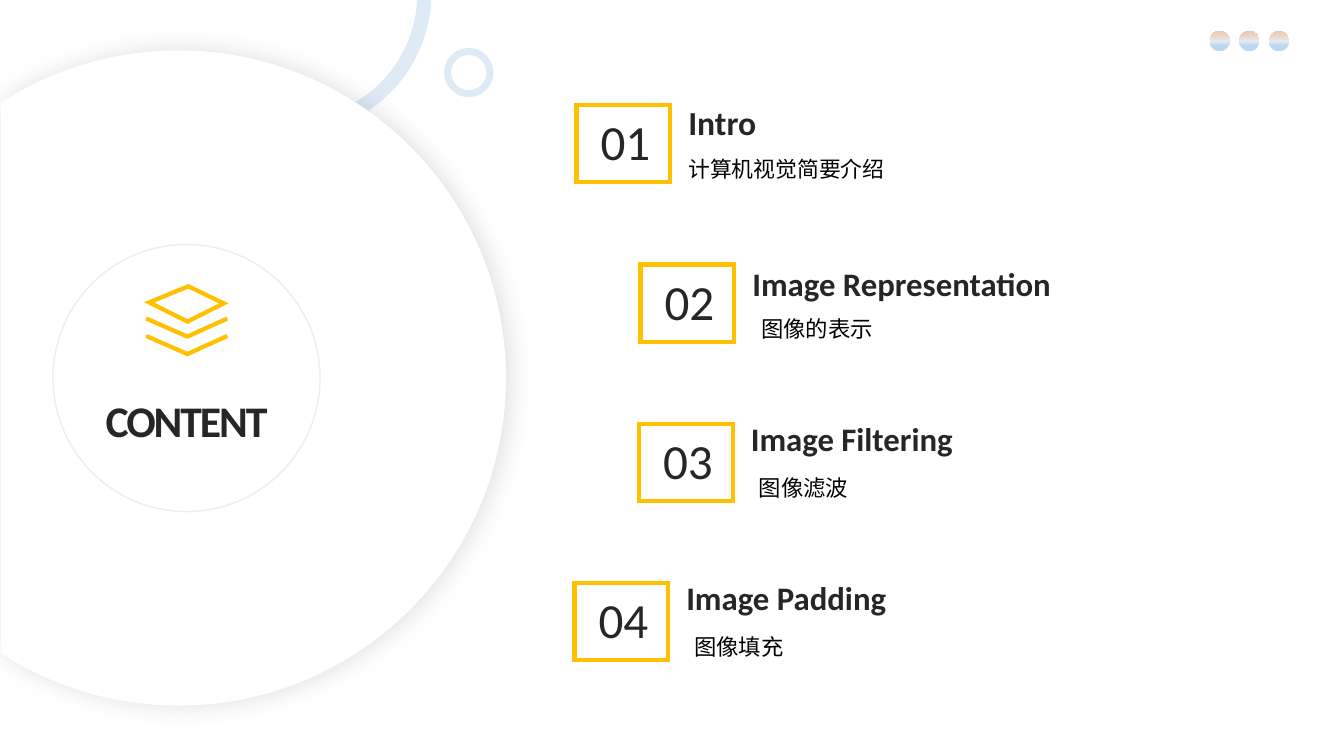
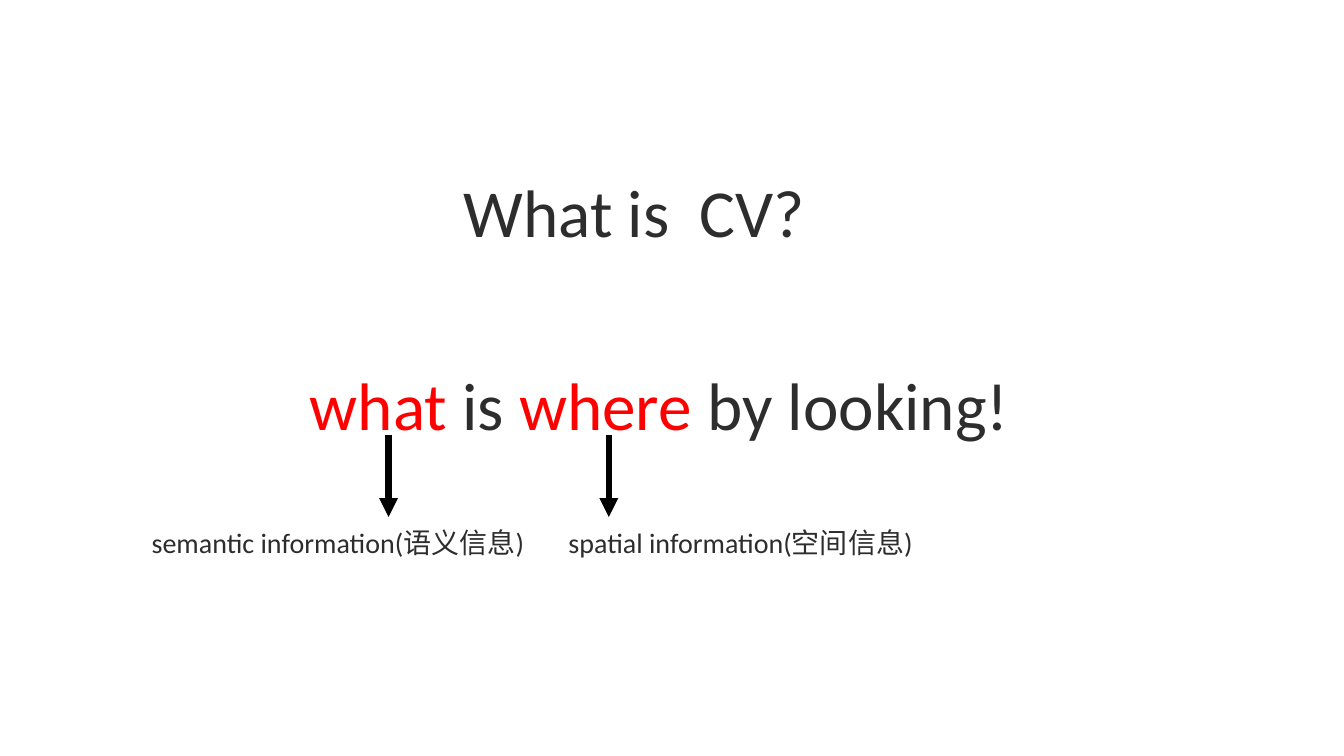
"""Builds a contents slide and a slide that defines computer vision."""
import math
from lxml import etree
from pptx import Presentation
from pptx import util as u
from pptx.dml.color import RGBColor
from pptx.enum import shapes, text
from pptx.oxml.ns import qn

COLS, ROWS = 80, 45
CELL = u.Inches(7.5) / ROWS
WHITE = RGBColor(0xFF, 0xFF, 0xFF)
BLACK = RGBColor(0, 0, 0)
INK = RGBColor(0x26, 0x26, 0x26)
GREY = RGBColor(0x2E, 0x2D, 0x2D)
PALE = RGBColor(0xED, 0xED, 0xED)
GOLD = RGBColor(0xFF, 0xC0, 0)
RED = RGBColor(0xFF, 0, 0)
SKY = RGBColor(0xDE, 0xEB, 0xF7)
BLUE = RGBColor(0xBD, 0xD7, 0xEE)
PEACH = RGBColor(0xF8, 0xCB, 0xAD)
KIND = shapes.MSO_SHAPE
LEFT, MID = text.PP_ALIGN.LEFT, text.PP_ALIGN.CENTER
TOP, CORE, BASE = (text.MSO_ANCHOR.TOP, text.MSO_ANCHOR.MIDDLE,
                   text.MSO_ANCHOR.BOTTOM)


def paint(item, line=None, width=1, fill=None):
    """Set outline and fill, and return the emptied effect list."""
    if line is None:
        item.line.fill.background()
    else:
        item.line.color.rgb = line
        item.line.width = u.Pt(width)
        etree.SubElement(item.line._get_or_add_ln(), qn("a:miter"), lim="800000")
    if hasattr(item, "fill"):
        if fill is None:
            item.fill.background()
        else:
            item.fill.solid()
            item.fill.fore_color.rgb = fill
    return etree.SubElement(item._element.spPr, qn("a:effectLst"))


def write(page, box, runs, size, align=LEFT, anchor=TOP, space=1.0,
          bold=False, face="Calibri", wrap=True):
    """Add a text box from (words, colour) runs and return its paragraph."""
    frame = page.shapes.add_textbox(*[int(n * CELL) for n in box]).text_frame
    frame.word_wrap = wrap
    frame.vertical_anchor = anchor
    para = frame.paragraphs[0]
    para.alignment = align
    para.line_spacing = space
    for words, color in runs:
        run = para.add_run()
        run.text = words
        run.font.name = face
        run.font.size = u.Pt(size)
        run.font.bold = bold
        run.font.color.rgb = color
    return para


deck = Presentation()
deck.slide_width, deck.slide_height = int(COLS * CELL), int(ROWS * CELL)
menu, topic = [deck.slides.add_slide(deck.slide_layouts[6]) for _ in range(2)]

ring = menu.shapes.add_shape(
    KIND.OVAL, *[int(n * CELL) for n in (26.64, 3.06, 2.52, 2.52)])
paint(ring, SKY, 5)
arc = menu.shapes.add_shape(
    KIND.ARC, *[int(n * CELL) for n in (9.36, -8.34, 15.9, 15.9)])
arc.rotation = 90
arc.adjustments[0], arc.adjustments[1] = 163.22, 201.1
paint(arc, SKY, 10)

for i in range(3):
    dot = menu.shapes.add_shape(
        KIND.OVAL, *[int(n * CELL) for n in (72 + 1.77 * i, 1.86, 1.2, 1.2)])
    paint(dot)
    grad = etree.Element(qn("a:gradFill"), rotWithShape="1")
    stops = etree.SubElement(grad, qn("a:gsLst"))
    for share, tint in ((28, BLUE), (50, SKY), (88, PEACH), (100, BLUE)):
        stop = etree.SubElement(stops, qn("a:gs"), pos=str(share * 1000))
        etree.SubElement(stop, qn("a:srgbClr"), val=str(tint))
    etree.SubElement(grad, qn("a:lin"), ang=str(270 * 60000), scaled="0")
    props = dot._element.spPr
    props.replace(props.find(qn("a:noFill")), grad)

midx, midy, rad, edge = 10.62, 22.5, 19.5, 0.06
reach = math.acos((edge - midx) / rad)
turns = [-reach, -math.pi / 2, 0, math.pi / 2, reach]
knots = [((midx + rad * math.cos(t)) * CELL, (midy + rad * math.sin(t)) * CELL)
         for t in turns]
form = menu.shapes.build_freeform(*knots[0])
form.add_line_segments(knots[1:])
disc = form.convert_to_shape()
sides = list(disc._element.iter(qn("a:lnTo")))
for side, (x, y), (p, q), s, t in zip(sides, knots, knots[1:], turns, turns[1:]):
    pull = 4 / 3 * math.tan((t - s) / 4) * rad * CELL
    bend = etree.Element(qn("a:cubicBezTo"))
    for a, b in ((x - pull * math.sin(s), y + pull * math.cos(s)),
                 (p + pull * math.sin(t), q - pull * math.cos(t)), (p, q)):
        etree.SubElement(bend, qn("a:pt"), x=str(round(a - disc.left)),
                         y=str(round(b - disc.top)))
    side.getparent().replace(side, bend)
effect = paint(disc, fill=WHITE)
shade = etree.SubElement(effect, qn("a:outerShdw"), blurRad=str(u.Pt(17)),
                         dist=str(u.Pt(3)), dir="0", algn="ctr")
tone = etree.SubElement(shade, qn("a:srgbClr"), val=str(BLACK))
etree.SubElement(tone, qn("a:alpha"), val="12000")

badge = menu.shapes.add_shape(
    KIND.OVAL, *[int(n * CELL) for n in (3.15, 14.55, 15.9, 15.9)])
paint(badge, PALE, 1, WHITE)
icon = menu.shapes.add_group_shape()
gem = [(x * CELL, y * CELL) for x, y in
       ((8.88, 18), (11.22, 17.04), (13.32, 18.06), (11.16, 19.14))]
form = icon.shapes.build_freeform(*gem[0])
form.add_line_segments(gem[1:])
paint(form.convert_to_shape(), GOLD, 3)

chevs = [ends for y in (18.96, 20) for ends in
         ((8.7, y, 11.22, y + 1.1), (11.1, y + 1.1, 13.53, y))]
drops = [(x, 25.92, x, 30.78) for x in (23.13, 36.24)]
for page, lines, color, width in ((icon, chevs, GOLD, 3),
                                  (topic, drops, BLACK, 4.5)):
    for ends in lines:
        line = page.shapes.add_connector(
            shapes.MSO_CONNECTOR.STRAIGHT, *[int(n * CELL) for n in ends])
        paint(line, color, width)
        if page is topic:
            etree.SubElement(line.line._get_or_add_ln(), qn("a:tailEnd"),
                             type="triangle")

para = write(menu, (4.44, 23.1, 13.32, 3.84), [("CONTENT", INK)], 31.2,
             MID, CORE, bold=True, wrap=False)
para.runs[0].font._element.set("spc", "-150")

items = (
    (34.32, "Intro", 24, -0.24, "计算机视觉简要介绍", 15.6, 6.06, 2.88, 0.9, "Arial"),
    (38.13, "Image Representation", 23.4, -0.18, "图像的表示", 16, 6.6, 2.7, 1.0,
     "Calibri"),
    (38.04, "Image Filtering", 23.4, -0.42, "图像滤波", 16, 6.54, 2.64, 1.0,
     "Calibri"),
    (34.2, "Image Padding", 23.4, -0.42, "图像填充", 16, 6.54, 2.64, 1.0,
     "Calibri"),
)
for i, (x, head, big, rise, note, small, dx, dy, space, face) in enumerate(items):
    y = 6.3 + 9.48 * i
    group = menu.shapes.add_group_shape()
    frame = group.shapes.add_shape(
        KIND.RECTANGLE, *[int(n * CELL) for n in (x, y - 0.04, 5.58, 4.6)])
    paint(frame, GOLD, 3)
    write(group, (x + 0.12, y + 0.06, 5.58, 4.26), [(f"{i + 1:02}", INK)],
          35.1, MID)
    write(group, (x + 6.06, y + rise, 20.46, 2.76), [(head, INK)], big,
          anchor=BASE, space=0.9, bold=True)
    write(group, (x + dx, y + dy, 26.64, 2.22), [(note, BLACK)], small,
          space=space, face=face)

write(topic, (27, 9.36, 33.72, 5.94), [("What is  CV?", GREY)], 48, space=1.1)
write(topic, (17.85, 20.88, 50.52, 5.7),
      [("what", RED), (" is ", GREY), ("where", RED), (" by looking!", GREY)],
      48, space=1.1)
for x, note in ((33.24, "spatial information(空间信息)"),
                (8.43, "semantic information(语义信息)")):
    write(topic, (x, 30.78, 24.06, 2.7), [(note, GREY)], 20, space=1.1)

deck.save("out.pptx")
